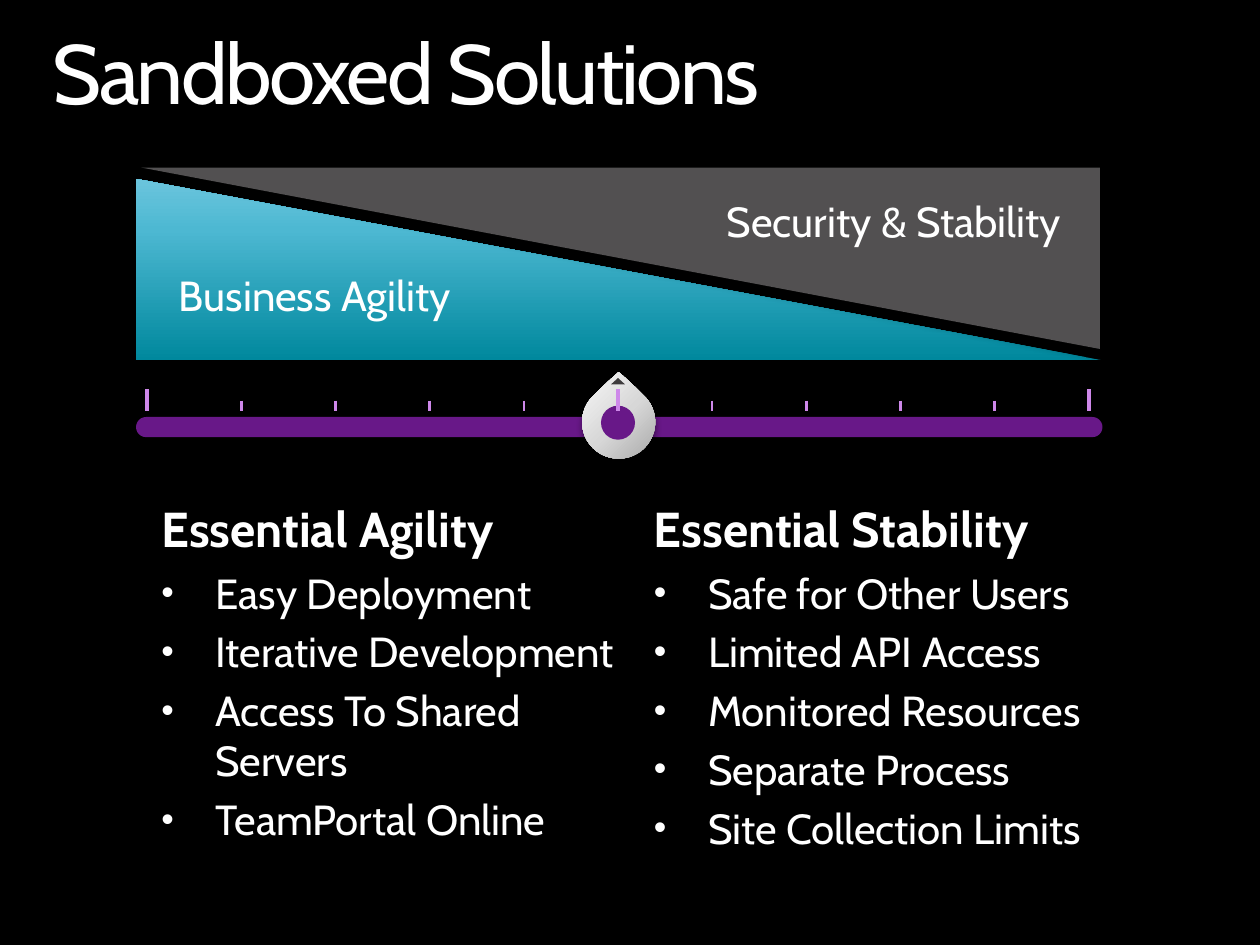
from lxml import etree
from pptx import Presentation
from pptx.dml.color import RGBColor
from pptx.enum.shapes import MSO_CONNECTOR, MSO_SHAPE
from pptx.enum.text import MSO_ANCHOR, MSO_AUTO_SIZE, PP_ALIGN
from pptx.oxml import parse_xml
from pptx.oxml.ns import nsdecls, qn
from pptx.util import Inches, Pt

ROUND_RECT = MSO_SHAPE.ROUNDED_RECTANGLE
TEARDROP = MSO_SHAPE.TEAR
OVAL = MSO_SHAPE.OVAL
TRIANGLE = MSO_SHAPE.ISOSCELES_TRIANGLE
RIGHT_TRIANGLE = MSO_SHAPE.ISOSCELES_TRIANGLE
STRAIGHT = MSO_CONNECTOR.STRAIGHT
LEFT, RIGHT = PP_ALIGN.LEFT, PP_ALIGN.RIGHT
TOP = MSO_ANCHOR.TOP
NO_FIT, GROW = MSO_AUTO_SIZE.NONE, MSO_AUTO_SIZE.SHAPE_TO_FIT_TEXT

PURPLE, LILAC, WHITE = "681888", "CE88EA", "FFFFFF"
SHADOW = (
    f'<a:effectLst {nsdecls("a")}>'
    '<a:outerShdw blurRad="50800" dist="38100" dir="5400000" rotWithShape="0">'
    '<a:srgbClr val="000000"><a:alpha val="43000"/></a:srgbClr>'
    "</a:outerShdw></a:effectLst>"
)


def paint(shape, colors, shadow=False):
    """Fill with one hex colour, or with (percent, hex) stops running upwards."""
    shape.line.fill.background()
    shape.shadow.inherit = False
    properties = shape._element.spPr
    if isinstance(colors, str):
        shape.fill.solid()
        shape.fill.fore_color.rgb = RGBColor.from_string(colors)
    else:
        shape.fill.gradient()
        shape.fill.gradient_angle = 90
        stops = properties.find(qn("a:gradFill")).find(qn("a:gsLst"))
        for stop in list(stops):
            stops.remove(stop)
        for percent, color in colors:
            stop = etree.SubElement(stops, qn("a:gs"), pos=str(percent * 1000))
            etree.SubElement(stop, qn("a:srgbClr"), val=color)
    if shadow:
        properties.replace(properties.find(qn("a:effectLst")), parse_xml(SHADOW))


def write(para, text, size, bold=False):
    span = para.add_run()
    span.text = text
    span.font.name = "Cabin"
    span.font.size = Pt(size)
    span.font.bold = bold
    span.font.color.rgb = RGBColor.from_string(WHITE)
    return span


deck = Presentation()
deck.slide_width, deck.slide_height = Inches(10), Inches(7.5)
page = deck.slides.add_slide(deck.slide_layouts.get_by_name("Comparison"))
page.background.fill.solid()
page.background.fill.fore_color.rgb = RGBColor.from_string("000000")

# Title
title = page.shapes.title
title.left, title.top = Inches(0.42), Inches(0.25)
title.width, title.height = Inches(9.17), Inches(0.73)
frame = title.text_frame
frame.margin_left = frame.margin_right = frame.margin_top = frame.margin_bottom = 0
frame.vertical_anchor = TOP
frame.auto_size = GROW
para = frame.paragraphs[0]
para.alignment = LEFT
para.line_spacing = 0.9
span = write(para, "Sandboxed Solutions", 48)
span.font._element.set("spc", "-150")

# Two columns, each a heading above a bulleted list
columns = [
    (1, 1.17, 3.83, "Essential Agility",
     ["Easy Deployment", "Iterative Development",
      "Access To Shared Servers", "TeamPortal Online"]),
    (3, 5.08, 3.94, "Essential Stability",
     ["Safe for Other Users", "Limited API Access", "Monitored Resources",
      "Separate Process", "Site Collection Limits"]),
]
for index, left, width, heading, items in columns:
    parts = [(index, 3.67, 1, [heading], 28), (index + 1, 4.45, 2.64, items, 24)]
    for number, top, height, lines, size in parts:
        is_heading = number == index
        box = page.placeholders[number]
        box.left, box.top = Inches(left), Inches(top)
        box.width, box.height = Inches(width), Inches(height)
        frame = box.text_frame
        frame.vertical_anchor = TOP
        frame.auto_size = NO_FIT
        for row, line in enumerate(lines):
            para = frame.add_paragraph() if row else frame.paragraphs[0]
            properties = para._p.get_or_add_pPr()
            properties.set("marL", str(Inches(0.44)))
            properties.set("indent", str(Inches(-0.43)))
            if not is_heading:
                etree.SubElement(properties, qn("a:buSzPct"), val="85000")
                etree.SubElement(properties, qn("a:buChar"), char="•")
            para.line_spacing = 1.5 if is_heading else 1.0
            para.space_before = Pt(0.2 * size if row else 0)
            write(para, line, size, bold=is_heading)

# Slider bar and its handle
bar = page.shapes.add_shape(
    ROUND_RECT, Inches(1.08), Inches(3.31), Inches(7.67), Inches(0.16))
bar.adjustments[0] = 0.5
paint(bar, PURPLE)

handle = page.shapes.add_shape(
    TEARDROP, Inches(4.62), Inches(3.06), Inches(0.58), Inches(0.58))
handle.adjustments[0] = 0.968
handle.rotation = 315
paint(handle, [(0, "979797"), (50, "D7D7D7"), (100, "FFFFFF")], shadow=True)

knob = page.shapes.add_shape(
    OVAL, Inches(4.77), Inches(3.22), Inches(0.27), Inches(0.27))
paint(knob, PURPLE)
pointer = page.shapes.add_shape(
    TRIANGLE, Inches(4.85), Inches(3), Inches(0.11), Inches(0.05))
paint(pointer, "3E3C3D")

# Eleven ticks, every fifth one longer and thicker
first_tick, last_tick, gaps = 1.17, 8.64, 10
for number in range(gaps + 1):
    major = number % 5 == 0
    x = Inches(first_tick + number * (last_tick - first_tick) / gaps)
    tick = page.shapes.add_connector(
        STRAIGHT, x, Inches(3.09 if major else 3.18), x, Inches(3.26))
    tick.line.color.rgb = RGBColor.from_string(LILAC)
    tick.line.width = Pt(2.25 if major else 1.5)
    etree.SubElement(tick._element.spPr, qn("a:effectLst"))

# Opposing wedges
agility = page.shapes.add_shape(
    RIGHT_TRIANGLE, Inches(1.08), Inches(1.42), Inches(7.67), Inches(1.44))
agility.adjustments[0] = 0
paint(agility, [(0, "00889D"), (72, "4DB8D2"), (100, "6BC5DD")], shadow=True)

outline = page.shapes.build_freeform(Inches(8.73), Inches(1.33))
outline.add_line_segments(
    [(Inches(8.73), Inches(2.77)), (Inches(1.12), Inches(1.33))], close=True)
paint(outline.convert_to_shape(), "525051", shadow=True)

wedge_labels = [
    ("Business Agility", 1.42, 2.14, 2.75, LEFT),
    ("Security & Stability", 5.25, 1.55, 3.17, RIGHT),
]
for text, left, top, width, alignment in wedge_labels:
    box = page.shapes.add_textbox(
        Inches(left), Inches(top), Inches(width), Inches(0.4))
    frame = box.text_frame
    frame.margin_left = frame.margin_right = frame.margin_top = frame.margin_bottom = 0
    frame.word_wrap = True
    frame.auto_size = GROW
    para = frame.paragraphs[0]
    para.alignment = alignment
    write(para, text, 24)

deck.save("out.pptx")
